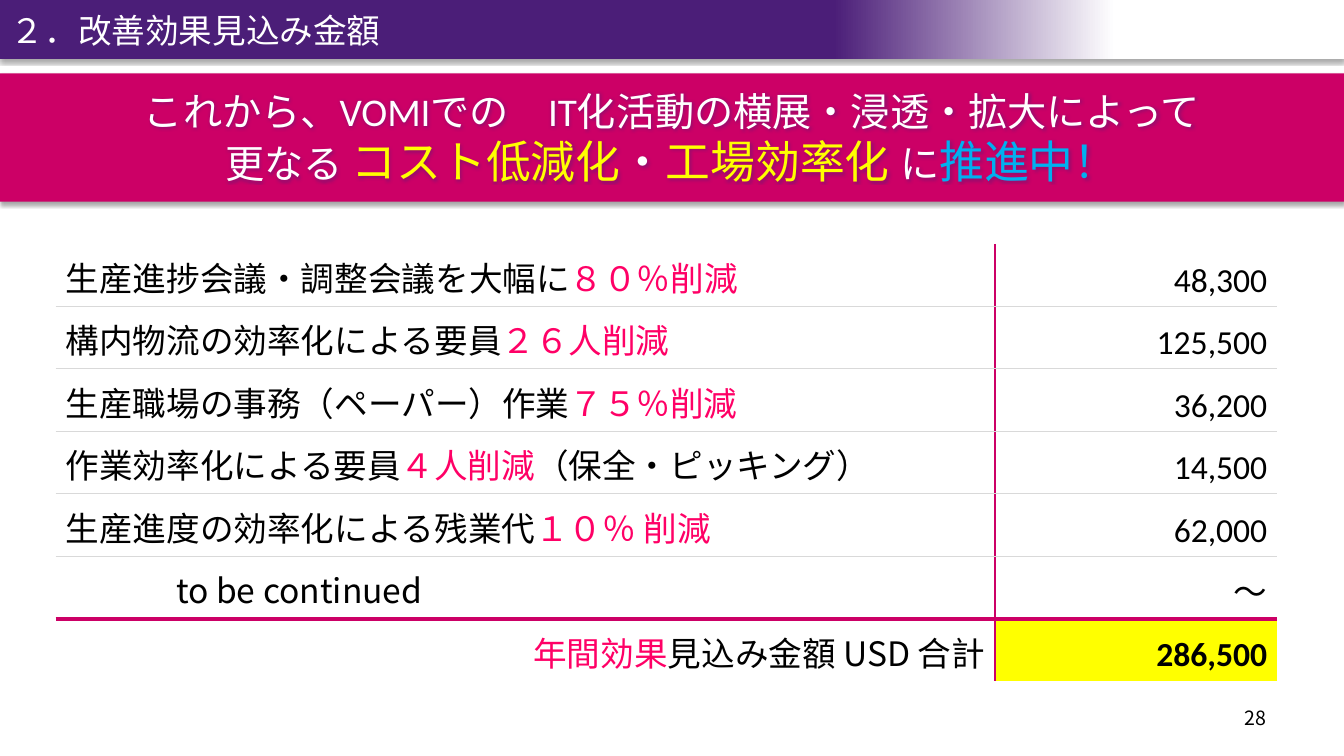
from lxml import etree
from pptx import Presentation
from pptx.dml.color import RGBColor
from pptx.enum import shapes, text
from pptx.oxml import ns
from pptx.util import Pt

PURPLE = RGBColor(0x4B, 0x1E, 0x78)
MAGENTA = RGBColor(0xCC, 0x00, 0x66)
PINK = RGBColor(0xFF, 0x00, 0x66)
YELLOW = RGBColor(0xFF, 0xFF, 0x00)
BLUE = RGBColor(0x00, 0xB0, 0xF0)
GREY = RGBColor(0xD9, 0xD9, 0xD9)
WHITE = RGBColor(0xFF, 0xFF, 0xFF)
BLACK = RGBColor(0, 0, 0)
GOTHIC, LATIN = "Noto Sans CJK JP", "Calibri"
LEFT, CENTER, RIGHT = text.PP_ALIGN.LEFT, text.PP_ALIGN.CENTER, text.PP_ALIGN.RIGHT

TITLE = "２．改善効果見込み金額"
PAGE_NUMBER = "28"
# Each span: words, size, colour
BANNER = [
    [("これから、VOMIでの　IT化活動の横展・浸透・拡大によって", 28, WHITE)],
    [("更なる ", 28, WHITE), ("コスト低減化", 32, YELLOW), ("・", 32, WHITE),
     ("工場効率化 ", 32, YELLOW), ("に", 28, WHITE), ("推進中！", 32, BLUE)],
]
# Each row: spans of words and colour, then the amount in USD
SAVINGS = [
    ([("生産進捗会議・調整会議を大幅に", BLACK), ("８０％削減", PINK)], "48,300"),
    ([("構内物流の効率化による要員", BLACK), ("２６人削減", PINK)], "125,500"),
    ([("生産職場の事務（ペーパー）作業", BLACK), ("７５％削減", PINK)], "36,200"),
    ([("作業効率化による要員", BLACK), ("４人削減", PINK),
      ("（保全・ピッキング）", BLACK)], "14,500"),
    ([("生産進度の効率化による残業代", BLACK), ("１０％ 削減", PINK)], "62,000"),
    ([("to be continued", BLACK)], "～"),
    ([("年間効果", PINK), ("見込み金額 USD 合計", BLACK)], "286,500"),
]
COLUMN_WIDTHS = (671, 201.6)
ROW_HEIGHT = 44.64
TOTAL = len(SAVINGS) - 1


def add_element(parent, tag, **attributes):
    return etree.SubElement(parent, ns.qn(tag), attributes)


def add_colour(parent, colour, alpha=100):
    value = add_element(parent, "a:srgbClr", val=str(colour))
    if alpha < 100:
        add_element(value, "a:alpha", val=str(alpha * 1000))


def write(para, spans, font, align=LEFT, bold=False, glow=False):
    para.alignment = align
    for words, size, colour in spans:
        span = para.add_run()
        span.text = words
        span.font.size, span.font.bold = Pt(size), bold
        span.font.color.rgb = colour
        props = span.font._element
        if glow:
            halo = add_element(add_element(props, "a:effectLst"), "a:glow", rad=str(Pt(3)))
            add_colour(halo, PURPLE, 40)
        span.font.name = font
        add_element(props, "a:ea", typeface=font)


def add_box(page, left, top, width, height, words, size, colour, align, anchor):
    box = page.shapes.add_textbox(Pt(left), Pt(top), Pt(width), Pt(height))
    box.text_frame.word_wrap = True
    box.text_frame.vertical_anchor = anchor
    write(box.text_frame.paragraphs[0], [(words, size, colour)], GOTHIC, align)


def add_band(page, top, height):
    """Add a full-width bar with a soft shadow below it."""
    band = page.shapes.add_shape(shapes.MSO_SHAPE.RECTANGLE, 0, Pt(top), Pt(960), Pt(height))
    band.fill.solid()
    band.fill.fore_color.rgb = MAGENTA
    band.line.fill.background()
    band.shadow.inherit = False
    effects = band._element.spPr.find(ns.qn("a:effectLst"))
    shade = add_element(effects, "a:outerShdw", blurRad=str(Pt(3.1)), dist=str(Pt(1.8)),
                        dir="5400000", rotWithShape="0")
    add_colour(shade, BLACK, 35)
    return band


def set_borders(cell, borders):
    """Draw the given sides, each as colour and width, and clear the others."""
    props = cell._tc.get_or_add_tcPr()
    for index, side in enumerate(("lnL", "lnR", "lnT", "lnB")):
        if side in borders:
            colour, width = borders[side]
            line = etree.Element(ns.qn("a:" + side), w=str(Pt(width)))
            add_colour(add_element(line, "a:solidFill"), colour)
        else:
            line = etree.Element(ns.qn("a:" + side), w="0")
            add_element(line, "a:noFill")
        props.insert(index, line)


def rule_below(row):
    return (MAGENTA, 3) if row == TOTAL - 1 else (GREY, 1)


def add_savings_table(page):
    frame = page.shapes.add_table(len(SAVINGS), 2, Pt(39.8), Pt(174.2),
                                  Pt(sum(COLUMN_WIDTHS)), Pt(ROW_HEIGHT * len(SAVINGS)))
    table = frame.table
    table.first_row = table.horz_banding = False
    for column, width in zip(table.columns, COLUMN_WIDTHS):
        column.width = Pt(width)
    for row, (label, amount) in enumerate(SAVINGS):
        table.rows[row].height = Pt(ROW_HEIGHT)
        is_total = row == TOTAL
        label_cell, amount_cell = table.cell(row, 0), table.cell(row, 1)
        write(label_cell.text_frame.paragraphs[0],
              [(words, 24, colour) for words, colour in label],
              GOTHIC, RIGHT if is_total else LEFT)
        write(amount_cell.text_frame.paragraphs[0], [(amount, 24, BLACK)],
              LATIN, RIGHT, bold=is_total)
        for cell, divider in ((label_cell, "lnR"), (amount_cell, "lnL")):
            cell.vertical_anchor = text.MSO_ANCHOR.BOTTOM
            cell.fill.background()
            borders = {divider: (MAGENTA, 1)}
            if row > 0:
                borders["lnT"] = rule_below(row - 1)
            if not is_total:
                borders["lnB"] = rule_below(row)
            set_borders(cell, borders)
    table.cell(TOTAL - 1, 0).margin_left = Pt(86)
    total_cell = table.cell(TOTAL, 1)
    total_cell.fill.solid()
    total_cell.fill.fore_color.rgb = YELLOW


def main():
    deck = Presentation()
    deck.slide_width, deck.slide_height = Pt(960), Pt(540)
    page = deck.slides.add_slide(deck.slide_layouts[6])

    header = add_band(page, 0, 42.3)
    header.fill.gradient()
    header.fill.gradient_angle = 0
    for stop, position, colour in zip(header.fill.gradient_stops, (0.62, 0.83), (PURPLE, WHITE)):
        stop.position, stop.color.rgb = position, colour
    add_box(page, 0.7, 0, 811, 42.3, TITLE, 24, WHITE, LEFT, text.MSO_ANCHOR.MIDDLE)
    add_box(page, 859, 500.4, 52.6, 28.8, PAGE_NUMBER, 14, BLACK, RIGHT, text.MSO_ANCHOR.TOP)

    banner = add_band(page, 52.5, 91.5).text_frame
    banner.word_wrap = True
    banner.vertical_anchor = text.MSO_ANCHOR.MIDDLE
    for index, spans in enumerate(BANNER):
        para = banner.add_paragraph() if index else banner.paragraphs[0]
        write(para, spans, LATIN, CENTER, glow=True)

    add_savings_table(page)
    deck.save("out.pptx")


if __name__ == "__main__":
    main()
